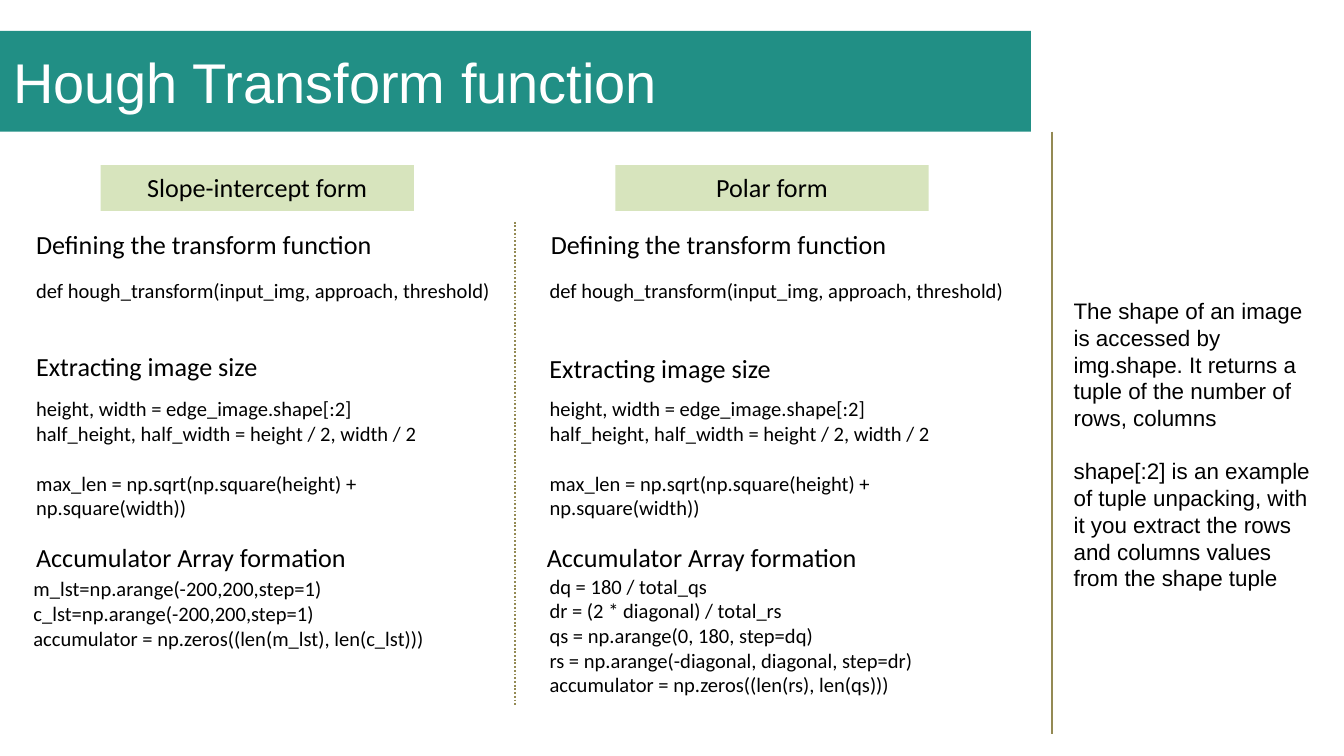
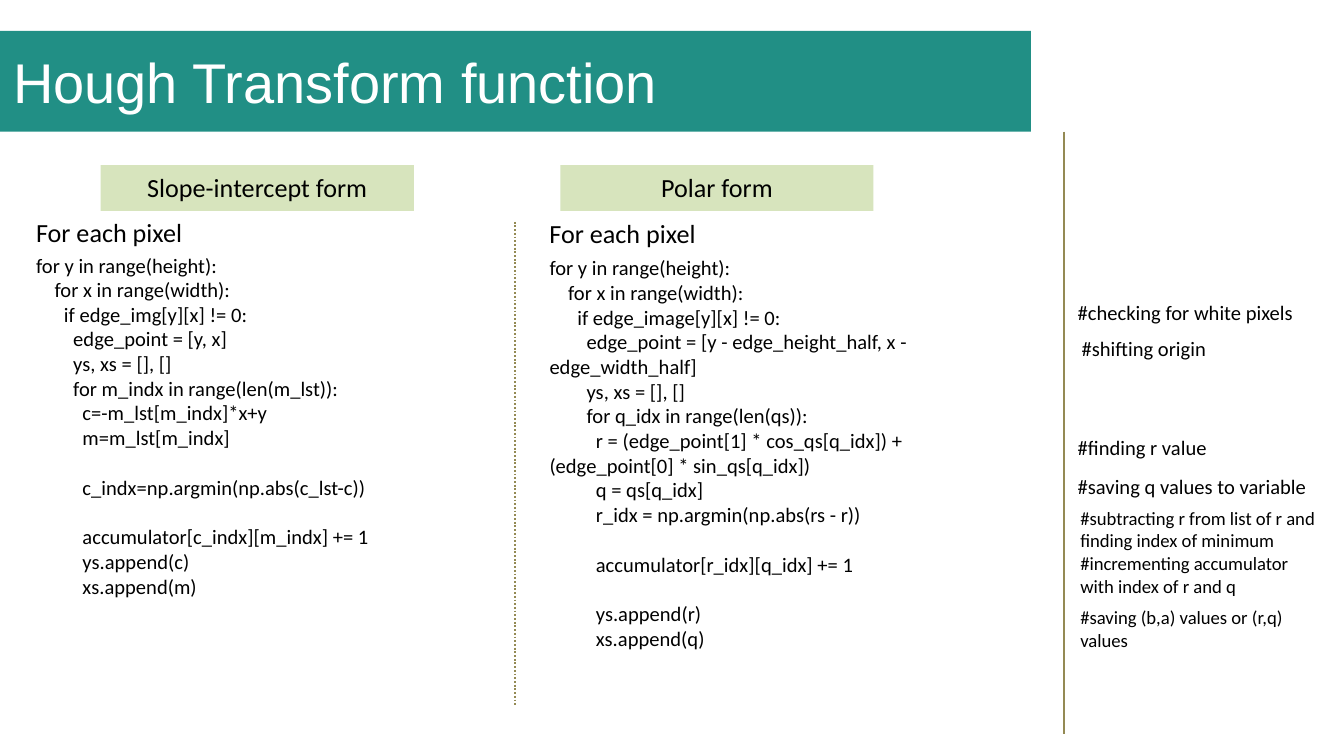
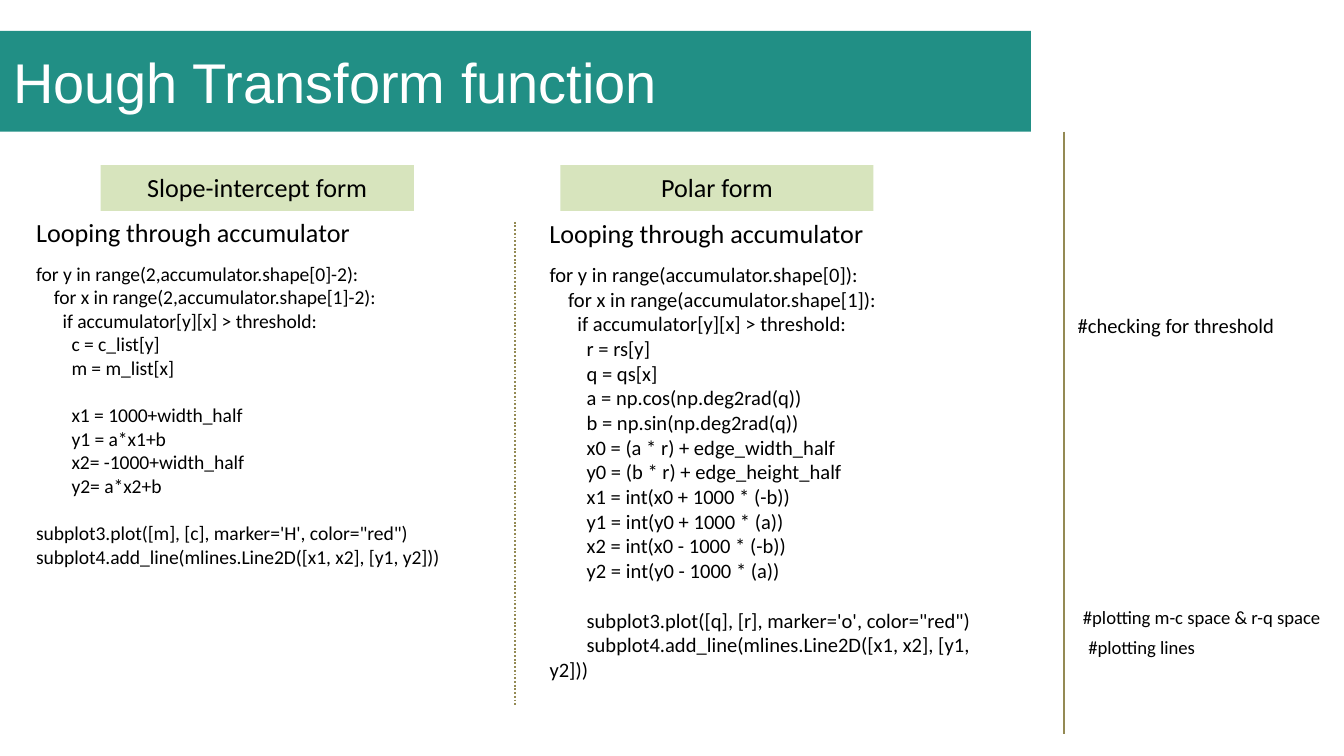
"""Build three slides comparing slope-intercept and polar Hough transform code."""
from lxml.etree import SubElement
from pptx import Presentation
from pptx.dml.color import RGBColor
from pptx.enum.dml import MSO_LINE
from pptx.enum.shapes import MSO_CONNECTOR, MSO_SHAPE
from pptx.enum.text import MSO_ANCHOR, PP_ALIGN
from pptx.oxml.ns import qn
from pptx.util import Inches, Pt

TEAL = RGBColor(0x21, 0x8F, 0x85)
PALE_GREEN = RGBColor(0xD7, 0xE4, 0xBD)
OLIVE = RGBColor(0x94, 0x8A, 0x54)
BLACK = RGBColor(0, 0, 0)
WHITE = RGBColor(0xFF, 0xFF, 0xFF)

TITLE = "Hough Transform function"
FORMS = ("Slope-intercept form", "Polar form")
LEFT, RIGHT = 0.17, 3.99
LEFT_WIDTH, RIGHT_WIDTH, HEADING_WIDTH = 3.51, 3.68, 2.76
LINE_HEIGHT = {"Calibri": 1.22, "Arial": 1.15}
SPACE_WIDTH = 0.226

DEFINITION = "def hough_transform(input_img, approach, threshold)"

IMAGE_SIZE = """\
height, width = edge_image.shape[:2]
half_height, half_width = height / 2, width / 2

max_len = np.sqrt(np.square(height) + np.square(width))"""

SLOPE_ARRAY = """\
m_lst=np.arange(-200,200,step=1)
c_lst=np.arange(-200,200,step=1)
accumulator = np.zeros((len(m_lst), len(c_lst)))"""

POLAR_ARRAY = """\
dq = 180 / total_qs
dr = (2 * diagonal) / total_rs
qs = np.arange(0, 180, step=dq)
rs = np.arange(-diagonal, diagonal, step=dr)
accumulator = np.zeros((len(rs), len(qs)))"""

SHAPE_NOTE = """\
The shape of an image is accessed by img.shape. It returns a tuple of the number of rows, columns

shape[:2] is an example of tuple unpacking, with it you extract the rows and columns values from the shape tuple"""

SLOPE_PIXELS = """\
for y in range(height):
    for x in range(width):
      if edge_img[y][x] != 0:
        edge_point = [y, x]
        ys, xs = [], []
        for m_indx in range(len(m_lst)):
          c=-m_lst[m_indx]*x+y
          m=m_lst[m_indx]

          c_indx=np.argmin(np.abs(c_lst-c))

          accumulator[c_indx][m_indx] += 1
          ys.append(c)
          xs.append(m)"""

POLAR_PIXELS = """\
for y in range(height):
    for x in range(width):
      if edge_image[y][x] != 0:
        edge_point = [y - edge_height_half, x - edge_width_half]
        ys, xs = [], []
        for q_idx in range(len(qs)):
          r = (edge_point[1] * cos_qs[q_idx]) + (edge_point[0] * sin_qs[q_idx])
          q = qs[q_idx]
          r_idx = np.argmin(np.abs(rs - r))

          accumulator[r_idx][q_idx] += 1

          ys.append(r)
          xs.append(q)"""

SLOPE_LOOP = """\
for y in range(2,accumulator.shape[0]-2):
    for x in range(2,accumulator.shape[1]-2):
      if accumulator[y][x] > threshold:
        c = c_list[y]
        m = m_list[x]

        x1 = 1000+width_half
        y1 = a*x1+b
        x2= -1000+width_half
        y2= a*x2+b

subplot3.plot([m], [c], marker='H', color="red")
subplot4.add_line(mlines.Line2D([x1, x2], [y1, y2]))"""

POLAR_LOOP = """\
for y in range(accumulator.shape[0]):
    for x in range(accumulator.shape[1]):
      if accumulator[y][x] > threshold:
        r = rs[y]
        q = qs[x]
        a = np.cos(np.deg2rad(q))
        b = np.sin(np.deg2rad(q))
        x0 = (a * r) + edge_width_half
        y0 = (b * r) + edge_height_half
        x1 = int(x0 + 1000 * (-b))
        y1 = int(y0 + 1000 * (a))
        x2 = int(x0 - 1000 * (-b))
        y2 = int(y0 - 1000 * (a))

        subplot3.plot([q], [r], marker='o', color="red")
        subplot4.add_line(mlines.Line2D([x1, x2], [y1, y2]))"""

SLIDES = [
    {
        "polar_label": 4.58,
        "margin_line": 7.83,
        "headings": [
            ("Defining the transform function", (LEFT, 1.65), (4, 1.65)),
            ("Extracting image size", (LEFT, 2.56), (RIGHT, 2.57)),
            ("Accumulator Array formation", (LEFT, 3.98), (3.97, 3.98)),
        ],
        "code": [
            (DEFINITION, (LEFT, 2.02, 3.58, 0.29), 11),
            (DEFINITION, (RIGHT, 2.02, RIGHT_WIDTH, 0.29), 11),
            (IMAGE_SIZE, (LEFT, 2.9, LEFT_WIDTH, 1.03), 11),
            (IMAGE_SIZE, (RIGHT, 2.9, RIGHT_WIDTH, 1.03), 11),
            (SLOPE_ARRAY, (0.15, 4.24, LEFT_WIDTH, 0.66), 11),
            (POLAR_ARRAY, (RIGHT, 4.22, RIGHT_WIDTH, 1.03), 11),
        ],
        "notes": [(SHAPE_NOTE, (7.89, 2.16, 2.03, 2.32), 12, "Arial")],
    },
    {
        "polar_label": 4.17,
        "margin_line": 7.92,
        "headings": [("For each pixel", (LEFT, 1.56), (RIGHT, 1.57))],
        "code": [
            (SLOPE_PIXELS, (LEFT, 1.83, LEFT_WIDTH, 3.06), 11),
            (POLAR_PIXELS, (RIGHT, 1.85, RIGHT_WIDTH, 3.25), 11),
        ],
        "notes": [
            ("#checking for white pixels", (7.92, 2.18, 1.82, 0.29), 11),
            ("#shifting origin", (7.95, 2.45, 1.13, 0.29), 11),
            ("#finding r value", (7.92, 3.19, 1.17, 0.29), 11),
            ("#saving q values to variable", (7.92, 3.48, 1.92, 0.29), 11),
            ("#subtracting r from list of r and finding index of minimum", (7.94, 3.72, 1.97, 0.44), 10),
            ("#incrementing accumulator with index of r and q", (7.94, 4.06, 1.97, 0.44), 10),
            ("#saving (b,a) values or (r,q) values", (7.94, 4.46, 1.97, 0.44), 10),
        ],
    },
    {
        "polar_label": 4.17,
        "margin_line": 7.92,
        "headings": [("Looping through accumulator", (LEFT, 1.56), (RIGHT, 1.57))],
        "code": [
            (SLOPE_LOOP, (LEFT, 1.9, LEFT_WIDTH, 2.57), 10.5),
            (POLAR_LOOP, (RIGHT, 1.9, 3.62, 3.06), 11),
        ],
        "notes": [
            ("#checking for threshold", (7.92, 2.28, 1.68, 0.29), 11),
            ("#plotting m-c space & r-q space", (7.96, 4.46, 2.07, 0.27), 10),
            ("#plotting lines", (8, 4.68, 1.97, 0.27), 10),
        ],
    },
]


def write(box, text, size, font="Calibri", color=BLACK, align=PP_ALIGN.LEFT, anchor=MSO_ANCHOR.TOP):
    frame = box.text_frame
    frame.word_wrap = True
    frame.vertical_anchor = anchor
    para, blanks = None, 0
    for line in text.splitlines():
        if not line:
            blanks += 1
            continue
        para = frame.add_paragraph() if para else frame.paragraphs[0]
        para.alignment = align
        para.space_before = Pt(blanks * size * LINE_HEIGHT[font])
        words = line.lstrip()
        indent = (len(line) - len(words)) * SPACE_WIDTH * size
        if indent:
            properties = para._p.get_or_add_pPr()
            properties.set("marL", "0")
            properties.set("indent", str(int(Pt(indent))))
        span = para.add_run()
        span.text = words
        span.font.size, span.font.name = Pt(size), font
        span.font.color.rgb = color
        blanks = 0


def add_text(page, text, place, size, font="Calibri"):
    write(page.shapes.add_textbox(*map(Inches, place)), text, size, font)


def add_band(page, place, fill, text, size, **style):
    band = page.shapes.add_shape(MSO_SHAPE.RECTANGLE, *map(Inches, place))
    band.shadow.inherit = False
    band.fill.solid()
    band.fill.fore_color.rgb = fill
    band.line.fill.background()
    write(band, text, size, **style)


def add_rule(page, x, top, bottom, dash=None):
    rule = page.shapes.add_connector(MSO_CONNECTOR.STRAIGHT, *map(Inches, (x, top, x, bottom)))
    rule.line.color.rgb = OLIVE
    rule.line.width = Pt(1)
    if dash:
        rule.line.dash_style = dash
    SubElement(rule._element.spPr, qn("a:effectLst"))


def build_slide(deck, content):
    page = deck.slides.add_slide(deck.slide_layouts[6])
    add_band(page, (0, 0.23, 7.67, 0.75), TEAL, TITLE, 30,
             font="Arial", color=WHITE, anchor=MSO_ANCHOR.MIDDLE)
    for form, x in zip(FORMS, (0.75, content["polar_label"])):
        add_band(page, (x, 1.23, 2.33, 0.34), PALE_GREEN, form, 14, align=PP_ALIGN.CENTER)
    add_rule(page, 3.83, 1.65, 5.25, MSO_LINE.ROUND_DOT)
    add_rule(page, content["margin_line"], 0.98, 5.46)
    for heading, *corners in content["headings"]:
        for corner in corners:
            add_text(page, heading, (*corner, HEADING_WIDTH, 0.34), 14)
    for entry in content["code"] + content["notes"]:
        add_text(page, *entry)


def main():
    deck = Presentation()
    deck.slide_width = Inches(10)
    deck.slide_height = deck.slide_width * 9 // 16
    for content in SLIDES:
        build_slide(deck, content)
    deck.save("out.pptx")


if __name__ == "__main__":
    main()
